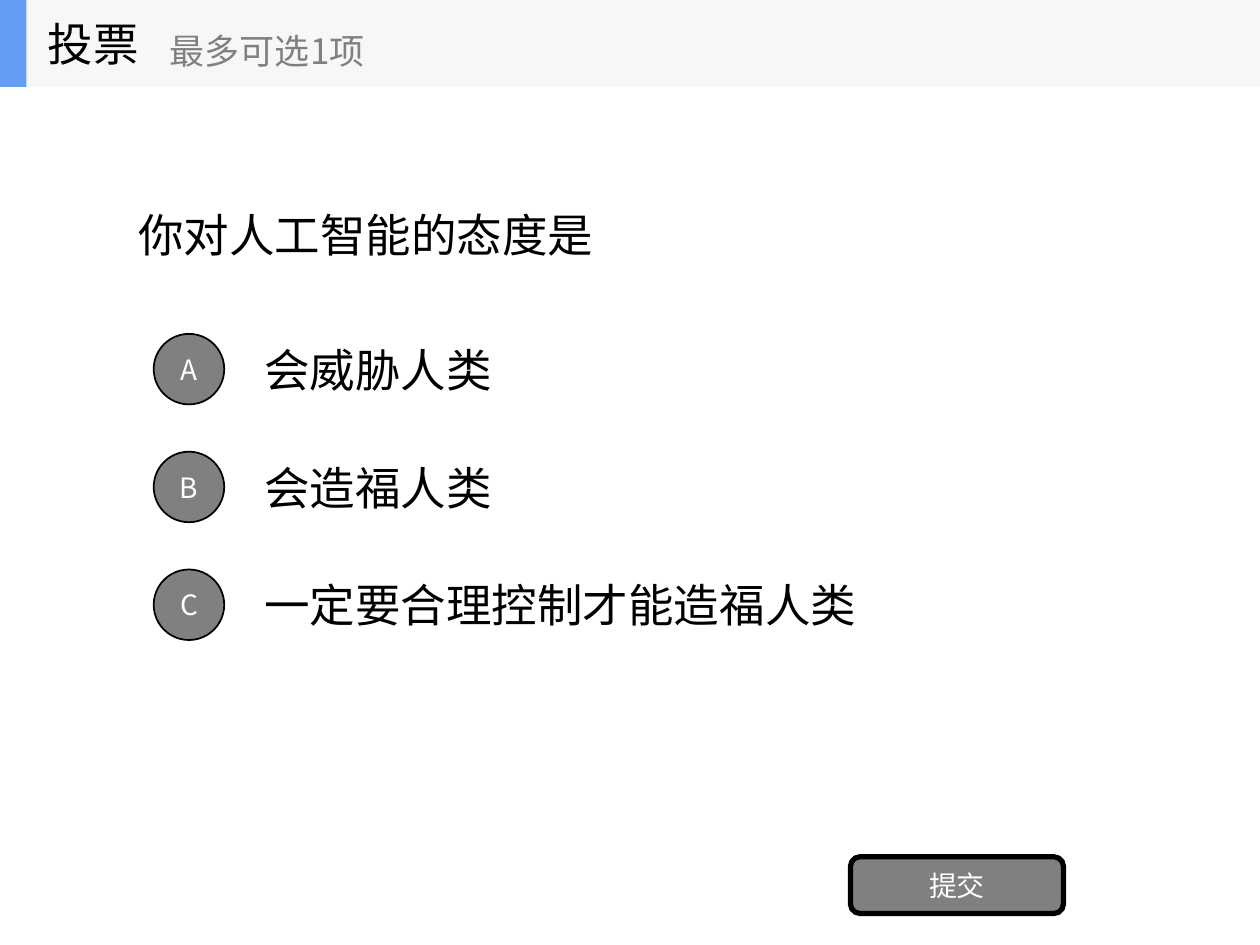
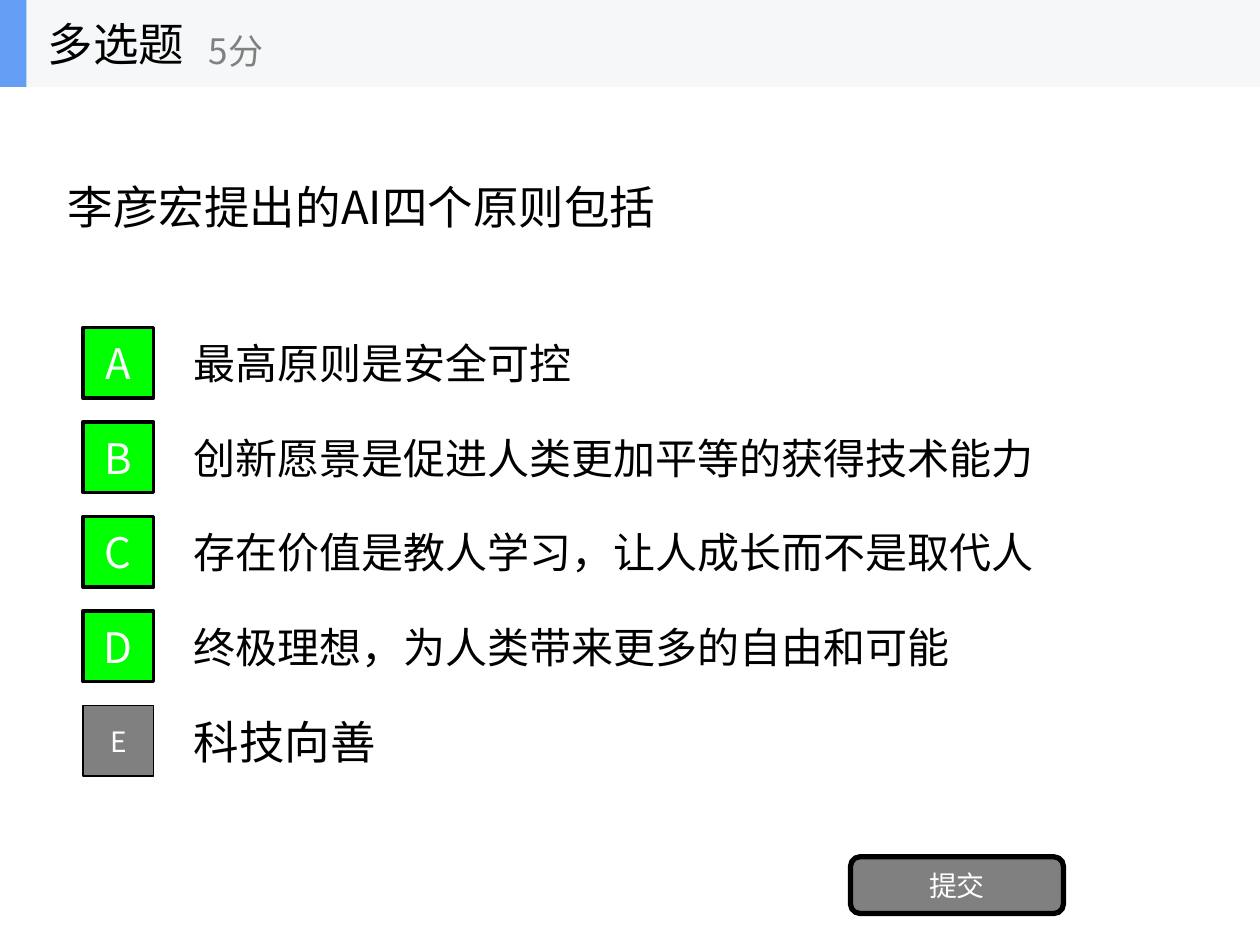
from collections import namedtuple

import lxml.etree
import pptx
import pptx.dml.color
import pptx.enum.shapes
import pptx.enum.text
import pptx.oxml.ns
import pptx.util

RGB = pptx.dml.color.RGBColor
SHAPE = pptx.enum.shapes.MSO_SHAPE
ALIGN = pptx.enum.text.PP_ALIGN
Inches = pptx.util.Inches

BLACK = RGB(0x00, 0x00, 0x00)
WHITE = RGB(0xFF, 0xFF, 0xFF)
GRAY = RGB(0x80, 0x80, 0x80)
GREEN = RGB(0x00, 0xFF, 0x00)
BAND = RGB(0xF6, 0xF7, 0xF8)
ACCENT = RGB(0x63, 0x9E, 0xF4)

FONT = "Noto Sans CJK SC"
SLIDE_W, SLIDE_H = 10, 7.5
ROW_H = 0.7
MARKER = 0.56
MARKER_GAP = 0.22

Box = namedtuple("Box", "x y w h")
# Look of an option: marker fill, outline width, letter size, answer size
Style = namedtuple("Style", "fill line letter answer")
PLAIN = Style(GRAY, 1, 16, 26)
CORRECT = Style(GREEN, 2, 24, 24)

HEADER = Box(0, 0, SLIDE_W, 0.69)
SUBMIT = Box(6.75, 6.8, 1.69, 0.45)


def emu(box):
    return [Inches(v) for v in box]


def write(s, text, size, color, align=ALIGN.LEFT):
    tf = s.text_frame
    tf.word_wrap = True
    tf.vertical_anchor = pptx.enum.text.MSO_ANCHOR.MIDDLE
    tf.text = text
    p = tf.paragraphs[0]
    p.alignment = align
    r = p.runs[0]
    r.font.size = pptx.util.Pt(size)
    r.font.color.rgb = color
    r.font.name = FONT
    ea = lxml.etree.SubElement(r.font._element, pptx.oxml.ns.qn("a:ea"))
    ea.set("typeface", FONT)


def add_text(shapes, box, text, size, color=BLACK):
    write(shapes.add_textbox(*emu(box)), text, size, color)


def add_block(shapes, kind, box, fill, line=0):
    s = shapes.add_shape(kind, *emu(box))
    s.shadow.inherit = False
    s.fill.solid()
    s.fill.fore_color.rgb = fill
    if line:
        s.line.color.rgb = BLACK
        s.line.width = pptx.util.Pt(line)
    else:
        s.line.fill.background()
    return s


def add_label(shapes, kind, box, text, size, fill, line):
    """Add an outlined shape with centred white text."""
    s = add_block(shapes, kind, box, fill, line)
    tf = s.text_frame
    tf.margin_left = tf.margin_right = tf.margin_top = tf.margin_bottom = 0
    write(s, text, size, WHITE, ALIGN.CENTER)


def add_header(shapes, box, title, note, note_x):
    group = shapes.add_group_shape().shapes
    add_block(group, SHAPE.RECTANGLE, box, BAND)
    add_block(group, SHAPE.RECTANGLE, box._replace(w=0.21), ACCENT)
    add_text(group, Box(box.x + 0.28, box.y, 2.08, box.h), title, 26)
    add_text(group, Box(box.x + note_x, box.y + 0.12, 2.5, 0.56), note, 20, GRAY)


def add_options(shapes, box, kind, options):
    """Spread lettered answers evenly from the top to the bottom of the box."""
    pitch = (box.h - ROW_H) / (len(options) - 1)
    indent = MARKER + MARKER_GAP
    for i, (answer, style) in enumerate(options):
        y = box.y + i * pitch
        add_text(shapes, Box(box.x + indent, y, box.w - indent, ROW_H),
                 answer, style.answer)
        marker = Box(box.x, y + (ROW_H - MARKER) / 2, MARKER, MARKER)
        add_label(shapes, kind, marker, "ABCDE"[i], style.letter,
                  style.fill, style.line)


def add_question_slide(prs, header, question, question_box, kind, options,
                       options_box):
    shapes = prs.slides.add_slide(prs.slide_layouts[6]).shapes
    add_text(shapes, question_box, question, 26)
    add_options(shapes, options_box, kind, options)
    add_label(shapes, SHAPE.ROUNDED_RECTANGLE, SUBMIT, "提交", 16, GRAY, 3)
    add_header(shapes, HEADER, *header)


def main():
    prs = pptx.Presentation()
    prs.slide_width, prs.slide_height = Inches(SLIDE_W), Inches(SLIDE_H)

    add_question_slide(
        prs, ("投票", "最多可选1项", 1.25),
        "你对人工智能的态度是", Box(1, 0.69, 8, 2.34),
        SHAPE.OVAL,
        [("会威胁人类", PLAIN),
         ("会造福人类", PLAIN),
         ("一定要合理控制才能造福人类", PLAIN)],
        Box(1.22, 2.58, 7.78, 2.57))

    add_question_slide(
        prs, ("多选题", "5分", 1.56),
        "李彦宏提出的AI四个原则包括", Box(0.44, 1.24, 8, 0.8),
        SHAPE.RECTANGLE,
        [("最高原则是安全可控", CORRECT),
         ("创新愿景是促进人类更加平等的获得技术能力", CORRECT),
         ("存在价值是教人学习，让人成长而不是取代人", CORRECT),
         ("终极理想，为人类带来更多的自由和可能", CORRECT),
         ("科技向善", PLAIN)],
        Box(0.66, 2.53, 7.91, 3.7))

    prs.save("out.pptx")


if __name__ == "__main__":
    main()
